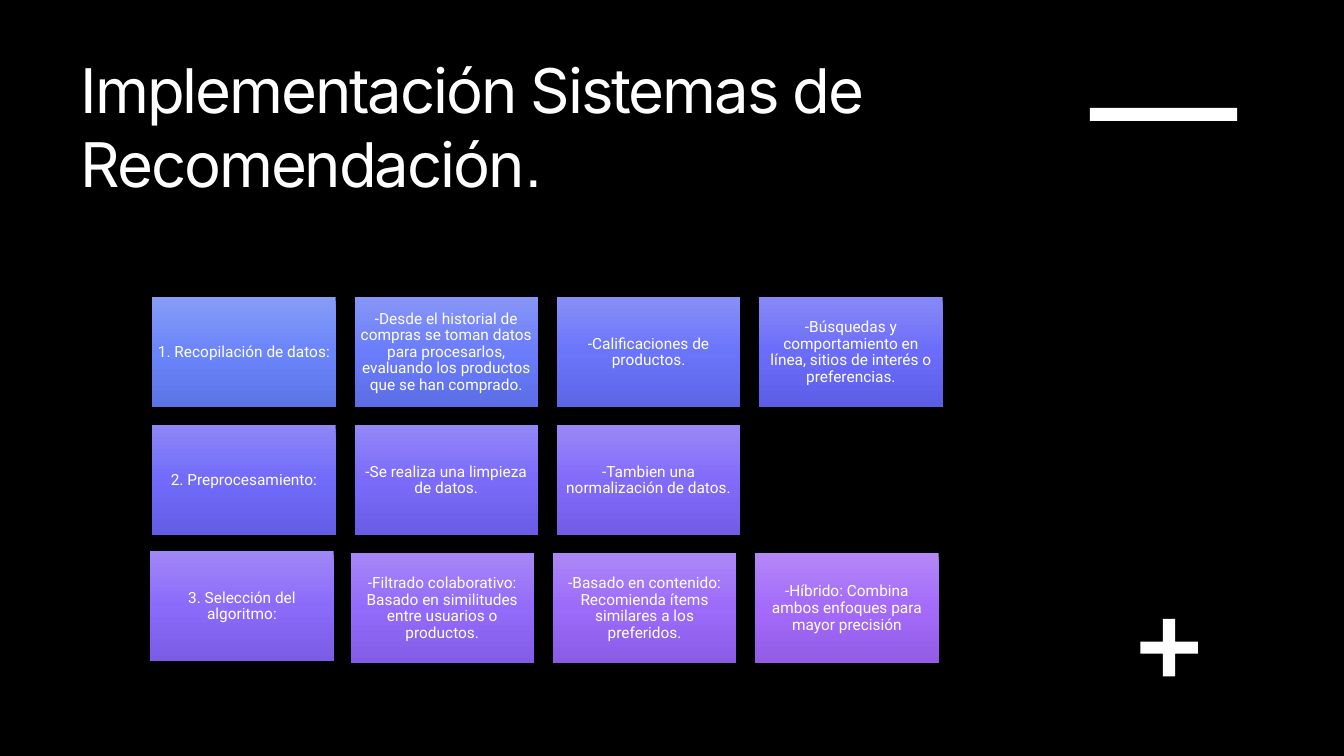
import colorsys
import copy
import pptx
import pptx.util
import pptx.dml.color
import pptx.enum.shapes
import pptx.enum.text
import pptx.oxml.ns

Inches = pptx.util.Inches
Pt = pptx.util.Pt
RGBColor = pptx.dml.color.RGBColor
Shape = pptx.enum.shapes.MSO_SHAPE
Align = pptx.enum.text.PP_ALIGN
Anchor = pptx.enum.text.MSO_ANCHOR

BLACK = RGBColor(0, 0, 0)
WHITE = RGBColor(255, 255, 255)

TONES = [(0, 0.75, 0.88), (0.5, 0.7, 0.93), (1, 0.63, 0.73)]
HUE, STEP = 229, 3.48
WIDE, HIGH = 1.82, 1.09
PITCH = 6.02 / 3

ROWS = [
    ((1.51, 2.95), (1.51, 2.95), [
        "1. Recopilación de datos:",
        "-Desde el historial de compras se toman datos para procesarlos, "
        "evaluando los productos que se han comprado.",
        "-Calificaciones de productos.",
        "-Búsquedas y comportamiento en línea, sitios de interés o preferencias.",
    ]),
    ((1.51, 4.22), (1.51, 4.22), [
        "2. Preprocesamiento:",
        "-Se realiza una limpieza de datos.",
        "-Tambien una normalización de datos.",
    ]),
    ((1.49, 5.47), (1.47, 5.49), [
        "3. Selección del algoritmo:",
        "-Filtrado colaborativo: Basado en similitudes entre usuarios o productos.",
        "-Basado en contenido: Recomienda ítems similares a los preferidos.",
        "-Híbrido: Combina ambos enfoques para mayor precisión",
    ]),
]


def tint(hue, light, sat):
    parts = colorsys.hls_to_rgb(hue / 360, light, sat)
    return RGBColor(*(round(part * 255) for part in parts))


def apply(thing, values):
    for name, value in values.items():
        setattr(thing, name, value)


class Deck:
    title_font = {"name": "Inter", "size": Pt(44), "bold": False}
    box_font = {"name": "Roboto", "size": Pt(11)}
    box_frame = {
        "word_wrap": True, "vertical_anchor": Anchor.MIDDLE,
        **{"margin_" + side: Inches(0.05)
           for side in ("left", "top", "right", "bottom")},
    }
    box_para = {"alignment": Align.CENTER, "line_spacing": 0.9}

    def __init__(self, show):
        self.slide = show.slides.add_slide(show.slide_layouts[5])
        back = self.slide.background.fill
        back.solid()
        back.fore_color.rgb = BLACK

    def title(self, texts, left, top, width, height):
        title = self.slide.shapes.title
        apply(title, {"left": Inches(left), "top": Inches(top),
                      "width": Inches(width), "height": Inches(height)})
        frame = title.text_frame
        apply(frame, {"word_wrap": True, "vertical_anchor": Anchor.MIDDLE,
                      "auto_size": pptx.enum.text.MSO_AUTO_SIZE.NONE})
        para = frame.paragraphs[0]
        para.alignment = Align.LEFT
        for text, face in texts:
            run = para.add_run()
            run.text = text
            apply(run.font, {**self.title_font, "name": face})
            run.font.color.rgb = WHITE
            run.font._element.set("spc", "-150")

    def shape(self, kind, left, top, width, height):
        shape = self.slide.shapes.add_shape(
            kind, Inches(left), Inches(top), Inches(width), Inches(height))
        shape.shadow.inherit = False
        shape.line.fill.background()
        shape.fill.solid()
        shape.fill.fore_color.rgb = WHITE
        return shape

    def shade(self, shape, hue):
        fill = shape.fill
        fill.gradient()
        fill.gradient_angle = 270
        stops = shape._element.spPr.find(".//" + pptx.oxml.ns.qn("a:gsLst"))
        stops.insert(1, copy.deepcopy(stops[0]))
        for stop, (place, light, sat) in zip(fill.gradient_stops, TONES):
            stop.color.rgb = tint(hue, light, sat)
            stop.position = place

    def box(self, text, left, top, hue):
        box = self.shape(Shape.RECTANGLE, left, top, WIDE, HIGH)
        self.shade(box, hue)
        apply(box.text_frame, self.box_frame)
        para = box.text_frame.paragraphs[0]
        apply(para, self.box_para)
        run = para.add_run()
        run.text = text
        apply(run.font, self.box_font)
        run.font.color.rgb = WHITE


def main():
    show = pptx.Presentation()
    apply(show, {"slide_width": Inches(13.33), "slide_height": Inches(7.5)})
    deck = Deck(show)
    deck.shape(Shape.RECTANGLE, 10.81, 1.07, 1.46, 0.13)
    deck.title([("Implementación Sistemas de Recomendación", "Inter"),
                (".", "Arial")], 0.7, 0.46, 9.04, 1.58)
    plus = deck.shape(Shape.CROSS, 11.31, 6.14, 0.57, 0.57)
    plus.adjustments[0] = 0.395
    hue = HUE
    for head, rest, texts in ROWS:
        for col, text in enumerate(texts):
            left, top = rest if col else head
            deck.box(text, left + col * PITCH, top, hue)
            hue += STEP
    show.save("out.pptx")


if __name__ == "__main__":
    main()
